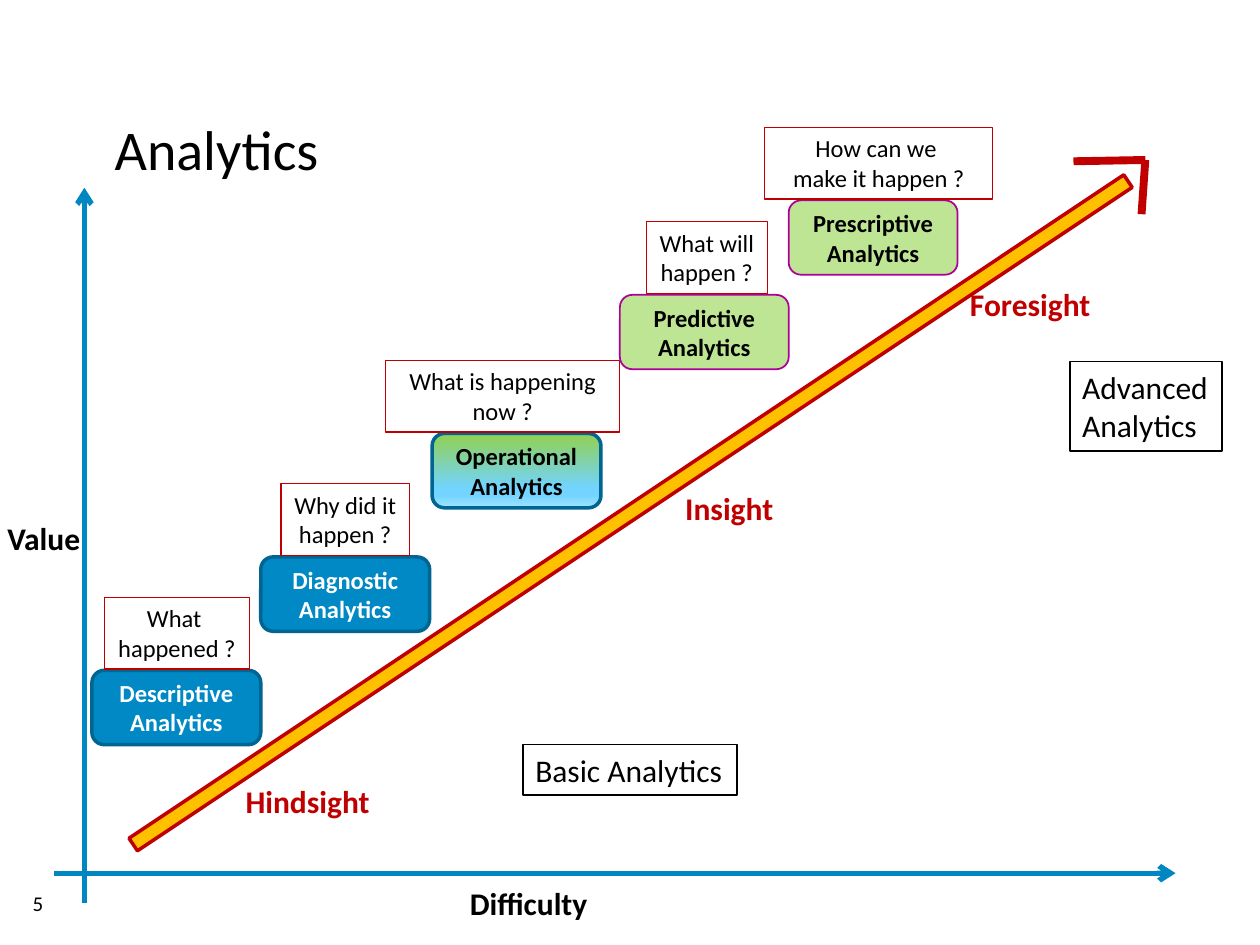
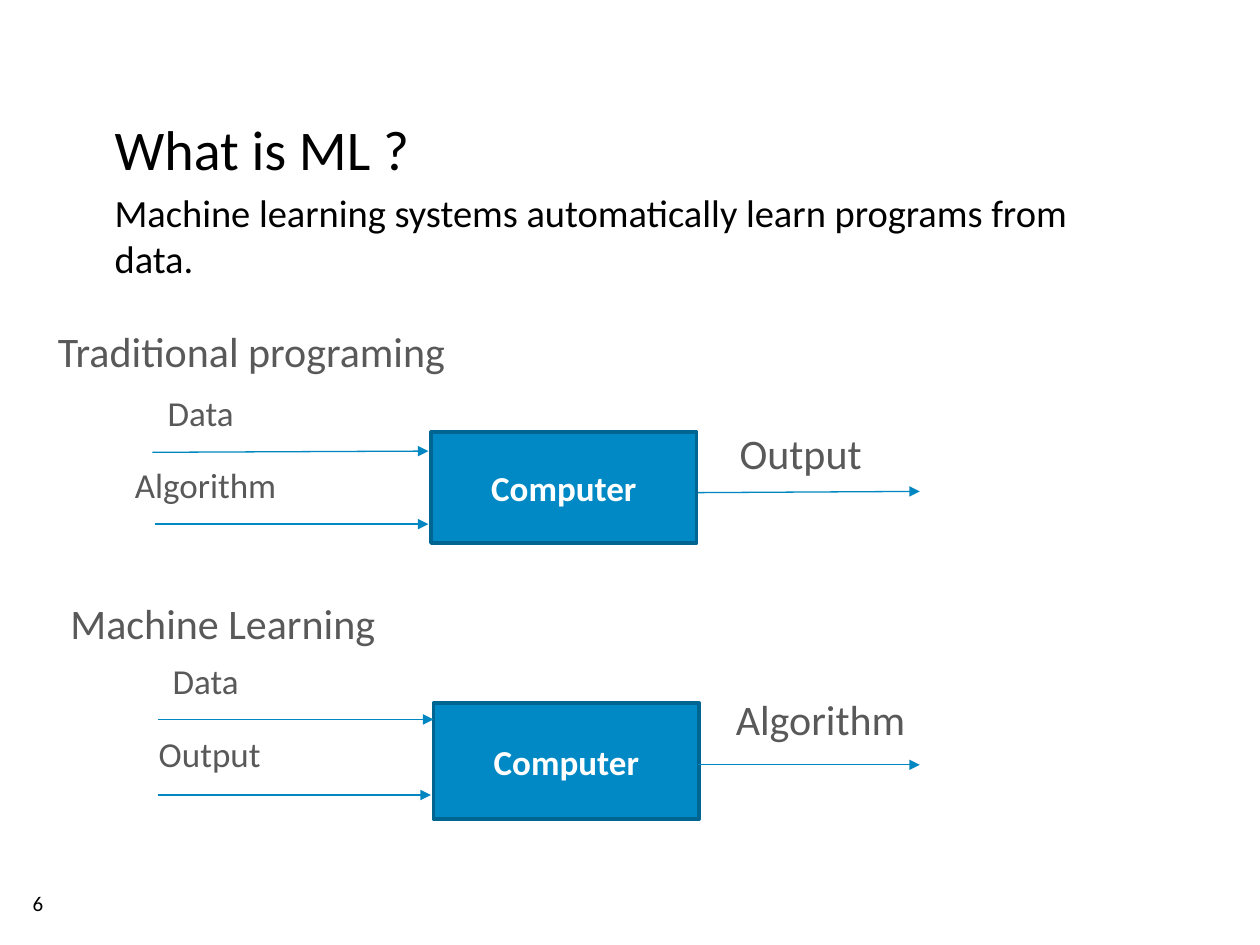
"""Build two slides on analytics maturity and machine learning."""
import copy
from dataclasses import dataclass

import pptx
import pptx.dml.color
import pptx.enum.shapes
import pptx.enum.text
import pptx.oxml
import pptx.oxml.ns
import pptx.util

Inches = pptx.util.Inches
Shapes = pptx.enum.shapes.MSO_SHAPE
Align = pptx.enum.text.PP_ALIGN
Anchor = pptx.enum.text.MSO_ANCHOR

FONT = "Calibri"
BLACK, WHITE, GREY = "000000", "FFFFFF", "595959"
BLUE, DARK_BLUE, AXIS_BLUE = "0089C4", "006591", "0086C0"
RED, GOLD, GREEN, PURPLE = "C00000", "FFC000", "BEE593", "AC0098"
NOW_GRADIENT = ((0, "92D050"), (0.74, "72D4FF"), (0.83, "72D4FF"), (1, "A1E3FF"))


@dataclass(frozen=True)
class Style:
    """Look of a stage box."""
    fill: str | tuple
    line: str
    line_width: float
    color: str


BASIC = Style(BLUE, DARK_BLUE, 2, WHITE)
CURRENT = Style(NOW_GRADIENT, DARK_BLUE, 2, BLACK)
ADVANCED = Style(GREEN, PURPLE, 1, BLACK)


@dataclass(frozen=True)
class Stage:
    """Analytics stage with the question it answers."""
    name: str
    left: float
    top: float
    style: Style
    question: str
    question_left: float
    question_width: float
    wrap: bool = False


@dataclass(frozen=True)
class Label:
    """Piece of text with its place and size."""
    text: str
    left: float
    top: float
    width: float
    height: float
    size: float


@dataclass(frozen=True)
class Line:
    """Straight line between two points."""
    start: tuple[float, float]
    end: tuple[float, float]
    color: str
    width: float
    arrow: str | None = None


STAGES = (
    Stage("Descriptive Analytics", 0.73, 5.32, BASIC, "What \nhappened ?", 0.83, 1.15),
    Stage("Diagnostic Analytics", 2.07, 4.42, BASIC, "Why did it\nhappen ?", 2.23, 1.02),
    Stage("Operational Analytics", 3.43, 3.44, CURRENT, "What is happening now ?", 3.06, 1.86, True),
    Stage("Predictive Analytics", 4.92, 2.34, ADVANCED, "What will\nhappen ?", 5.13, 0.96),
    Stage("Prescriptive Analytics", 6.26, 1.59, ADVANCED, "How can we \nmake it happen ?", 6.07, 1.81, True),
)
SIGHTS = (
    Label("Hindsight", 1.85, 6.16, 1.19, 0.4, 18),
    Label("Insight", 5.34, 3.83, 0.9, 0.4, 18),
    Label("Foresight", 7.6, 2.21, 1.16, 0.4, 18),
)
AXIS_NAMES = (
    Label("Value", -0.04, 4.07, 0.78, 0.4, 18),
    Label("Difficulty", 3.63, 6.97, 1.15, 0.4, 18),
)
GROUPS = (
    Label("Advanced\nAnalytics", 8.49, 2.87, 1.21, 0.71, 18),
    Label("Basic Analytics", 4.15, 5.91, 1.7, 0.4, 18),
)
AXES = (
    Line((0.67, 7.17), (0.67, 1.49), AXIS_BLUE, 3, "arrow"),
    Line((0.43, 6.93), (9.33, 6.93), AXIS_BLUE, 3, "arrow"),
)
ARROW_TIP = (
    Line((8.52, 1.28), (9.09, 1.27), RED, 4.5),
    Line((9.09, 1.27), (9.06, 1.7), RED, 4.5),
)
COMPUTERS = (
    Label("Computer", 3.42, 3.43, 2.11, 0.88, 20),
    Label("Computer", 3.44, 5.58, 2.11, 0.92, 20),
)
FLOW_LABELS = (
    Label("Traditional programing", 0.46, 2.66, 3.1, 0.33, 24),
    Label("Data", 1.33, 3.17, 0.53, 0.28, 20),
    Label("Algorithm", 1.07, 3.74, 1.13, 0.28, 20),
    Label("Output", 5.87, 3.47, 0.98, 0.33, 24),
    Label("Machine Learning", 0.56, 4.82, 2.44, 0.33, 24),
    Label("Data", 1.37, 5.3, 0.53, 0.28, 20),
    Label("Output", 1.26, 5.88, 0.82, 0.28, 20),
    Label("Algorithm", 5.84, 5.58, 1.36, 0.33, 24),
)
FLOW_ARROWS = tuple(
    Line(start, end, AXIS_BLUE, 0.75, "triangle")
    for start, end in (
        ((1.21, 3.59), (3.4, 3.58)),
        ((1.23, 4.16), (3.4, 4.16)),
        ((5.54, 3.91), (7.3, 3.9)),
        ((1.25, 5.71), (3.44, 5.71)),
        ((1.25, 6.31), (3.42, 6.31)),
        ((5.54, 6.07), (7.3, 6.07)),
    )
)


def rgb(color: str) -> pptx.dml.color.RGBColor:
    """Return the colour for a hex string."""
    return pptx.dml.color.RGBColor.from_string(color)


def write(shape, text: str, *, size: float, color: str = BLACK, bold: bool = False,
          align=Align.LEFT, anchor=Anchor.TOP, wrap: bool = False,
          inset: bool = True, spacing: float | None = None) -> None:
    """Write text into a shape, one paragraph per line."""
    frame = shape.text_frame
    frame.word_wrap = wrap
    frame.vertical_anchor = anchor
    if not inset:
        frame.margin_left = frame.margin_right = frame.margin_top = frame.margin_bottom = 0
    frame.text = text
    for paragraph in frame.paragraphs:
        paragraph.alignment = align
        if spacing:
            paragraph.line_spacing = spacing
        for run in paragraph.runs:
            run.font.name = FONT
            run.font.size = pptx.util.Pt(size)
            run.font.bold = bold
            run.font.color.rgb = rgb(color)


def add_text(slide, label: Label, **text_format) -> None:
    """Add a text box for a label."""
    box = slide.shapes.add_textbox(
        Inches(label.left), Inches(label.top), Inches(label.width), Inches(label.height))
    write(box, label.text, size=label.size, **text_format)


def fill_gradient(shape, stops: tuple) -> None:
    """Fill a shape from top to bottom with the given stops."""
    shape.fill.gradient()
    shape.fill.gradient_angle = 270
    stop_list = shape.element.spPr.find(".//" + pptx.oxml.ns.qn("a:gsLst"))
    while len(stop_list) < len(stops):
        stop_list.append(copy.deepcopy(stop_list[0]))
    for stop, (position, color) in zip(shape.fill.gradient_stops, stops):
        stop.position = position
        stop.color.rgb = rgb(color)


def add_box(slide, kind, left: float, top: float, width: float, height: float, *,
            line: str, line_width: float, fill: str | tuple | None = None):
    """Add an outlined preset shape."""
    shape = slide.shapes.add_shape(kind, Inches(left), Inches(top), Inches(width), Inches(height))
    shape.shadow.inherit = False
    if fill is None:
        shape.fill.background()
    elif isinstance(fill, tuple):
        fill_gradient(shape, fill)
    else:
        shape.fill.solid()
        shape.fill.fore_color.rgb = rgb(fill)
    shape.line.color.rgb = rgb(line)
    shape.line.width = pptx.util.Pt(line_width)
    return shape


def add_line(slide, line: Line) -> None:
    """Add a line, with an arrowhead at its end if it has one."""
    connector = slide.shapes.add_connector(
        pptx.enum.shapes.MSO_CONNECTOR.STRAIGHT, *map(Inches, line.start + line.end))
    connector.line.color.rgb = rgb(line.color)
    connector.line.width = pptx.util.Pt(line.width)
    properties = connector.element.spPr
    if line.arrow:
        head = pptx.oxml.parse_xml(
            f'<a:tailEnd {pptx.oxml.ns.nsdecls("a")} type="{line.arrow}"/>')
        properties.find(pptx.oxml.ns.qn("a:ln")).append(head)
    properties.append(pptx.oxml.parse_xml(f'<a:effectLst {pptx.oxml.ns.nsdecls("a")}/>'))


def add_slide(presentation, title: str, number: int):
    """Add a blank slide with its title and page number."""
    slide = presentation.slides.add_slide(presentation.slide_layouts[6])
    add_text(slide, Label(str(number), 0.26, 7.07, 0.56, 0.2, 12), inset=False, wrap=True)
    add_text(slide, Label(title, 0.91, 0.91, 8.19, 0.56, 32), inset=False, wrap=True)
    return slide


def add_stage(slide, stage: Stage) -> None:
    """Add a stage box with its question on top."""
    style = stage.style
    box = add_box(slide, Shapes.ROUNDED_RECTANGLE, stage.left, stage.top, 1.34, 0.59,
                  fill=style.fill, line=style.line, line_width=style.line_width)
    write(box, stage.name, size=14, color=style.color, bold=True,
          align=Align.CENTER, anchor=Anchor.MIDDLE, wrap=True)
    question = add_box(slide, Shapes.RECTANGLE, stage.question_left, stage.top - 0.58,
                       stage.question_width, 0.57, line=RED, line_width=0.75)
    write(question, stage.question, size=14, align=Align.CENTER, wrap=stage.wrap)


def build_analytics(presentation) -> None:
    """Build the chart of value against difficulty."""
    slide = add_slide(presentation, "Analytics", 5)
    for axis in AXES:
        add_line(slide, axis)
    shaft = add_box(slide, Shapes.RECTANGLE, 0.26, 4.01, 9.49, 0.12,
                    fill=GOLD, line=RED, line_width=2)
    shaft.rotation = 326.3
    for stage in STAGES:
        add_stage(slide, stage)
    for sight in SIGHTS:
        add_text(slide, sight, color=RED, bold=True)
    for name in AXIS_NAMES:
        add_text(slide, name, bold=True)
    for edge in ARROW_TIP:
        add_line(slide, edge)
    for group in GROUPS:
        box = add_box(slide, Shapes.RECTANGLE, group.left, group.top, group.width,
                      group.height, line=BLACK, line_width=1)
        write(box, group.text, size=group.size)


def build_machine_learning(presentation) -> None:
    """Build the comparison of programming and machine learning."""
    slide = add_slide(presentation, "What is ML ?", 6)
    add_text(slide, Label("Machine learning systems automatically learn programs from data.",
                          0.91, 1.5, 8.19, 0.41, 22), inset=False, wrap=True)
    for computer in COMPUTERS:
        box = add_box(slide, Shapes.RECTANGLE, computer.left, computer.top, computer.width,
                      computer.height, fill=BLUE, line=DARK_BLUE, line_width=2)
        write(box, computer.text, size=computer.size, color=WHITE, bold=True,
              align=Align.CENTER, anchor=Anchor.MIDDLE, wrap=True)
    for label in FLOW_LABELS:
        add_text(slide, label, color=GREY, inset=False, spacing=0.8)
    for arrow in FLOW_ARROWS:
        add_line(slide, arrow)


def main() -> None:
    """Build and save the presentation."""
    presentation = pptx.Presentation()
    presentation.slide_width = Inches(10)
    presentation.slide_height = Inches(7.5)
    build_analytics(presentation)
    build_machine_learning(presentation)
    presentation.save("out.pptx")


if __name__ == "__main__":
    main()
